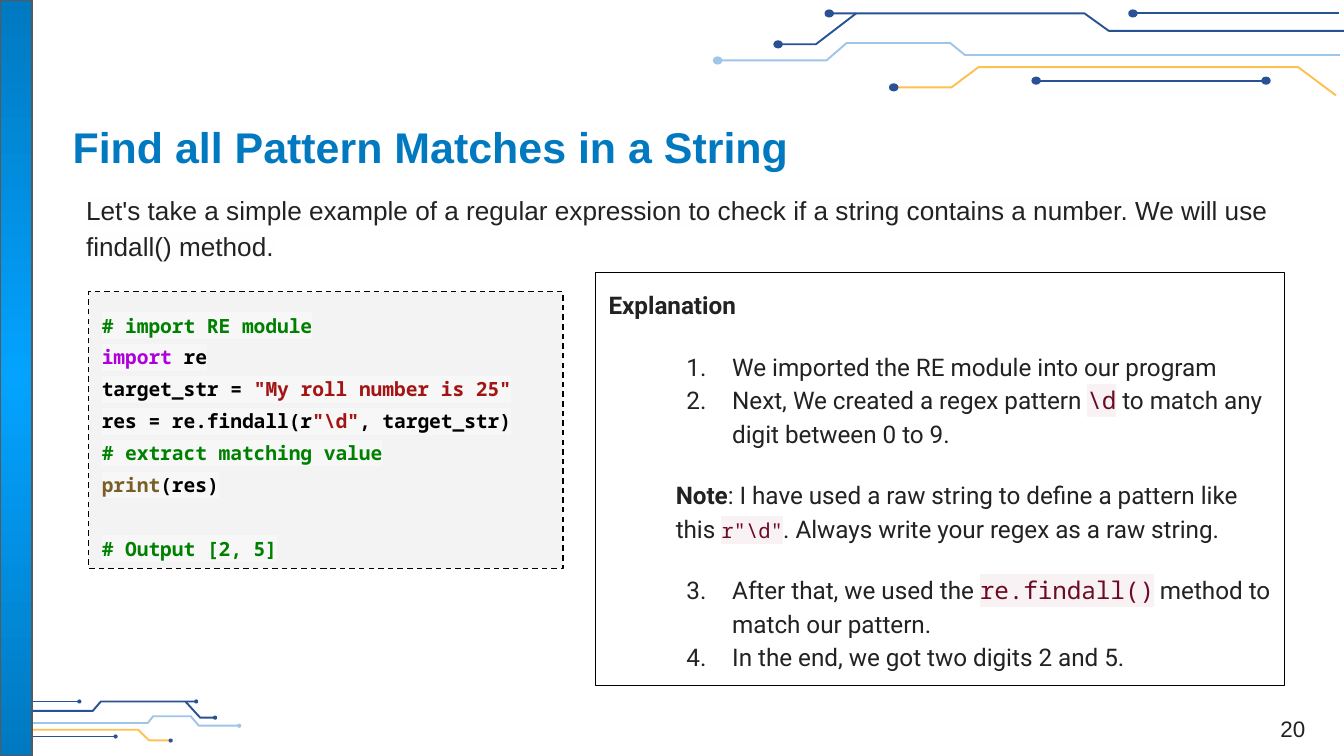
from dataclasses import dataclass

from lxml.etree import SubElement
from pptx import Presentation
from pptx.dml.color import RGBColor
from pptx.enum.dml import MSO_LINE
from pptx.enum.shapes import MSO_CONNECTOR, MSO_SHAPE
from pptx.enum.text import MSO_ANCHOR as ANCHOR, MSO_AUTO_SIZE, PP_ALIGN
from pptx.oxml.ns import qn
from pptx.util import Inches, Pt


@dataclass(frozen=True)
class Style:
    font: str
    size: float
    color: str
    bold: bool = False
    highlight: str = ""


def code_style(color):
    return Style("Noto Sans Mono", 10.5, color, True, "F7F7F7")


class Theme:
    navy, sky, amber = "285293", "9FC5E8", "FEC14F"
    bar_light, bar_dark, bar_edge = "03A3FF", "0079C0", "595959"
    border, code_fill = "000000", "F3F3F3"
    trace_width, edge_width = 1.03, 0.75
    styles = {
        "title": Style("Arial", 23, "0079C0", True),
        "body": Style("Arial", 14, "222222", False, "FEFEFE"),
        "number": Style("Arial", 12, "222222"),
        "text": Style("Roboto", 13, "222222"),
        "strong": Style("Roboto", 13, "222222", True),
        "term": Style("Noto Sans Mono", 13, "6C0B24", False, "F9F2F4"),
        "small term": Style("Noto Sans Mono", 11, "6C0B24", False, "F9F2F4"),
        "code": code_style("000000"),
        "comment": code_style("008000"),
        "keyword": code_style("AF00DB"),
        "string": code_style("A31515"),
        "builtin": code_style("795E26"),
    }


# Content: each paragraph is a list of (text, style) runs plus optional layout
TITLE = "Find all Pattern Matches in a String"
INTRO = ("Let's take a simple example of a regular expression to check if a string "
         "contains a number. We will use findall() method.")
PAGE = "20"
CODE = [
    ([("# import RE module", "comment")], {}),
    ([("import", "keyword"), (" re", "code")], {}),
    ([("target_str = ", "code"), ('"My roll number is 25"', "string")], {}),
    ([("res = re.findall(r", "code"), ('"\\d"', "string"), (", target_str)", "code")], {}),
    ([("# extract matching value", "comment")], {}),
    ([("print", "builtin"), ("(res)", "code")], {}),
    ([("# Output [2, 5]", "comment")], {"before": 17}),
]
EXPLANATION = [
    ([("Explanation", "strong")], {}),
    ([("We imported the RE module into our program", "text")], {"number": 1, "before": 15}),
    ([("Next, We created a regex pattern ", "text"), ("\\d", "term"),
      (" to match any digit between 0 to 9.", "text")], {"number": 2}),
    ([("Note", "strong"),
      (": I have used a raw string to define a pattern like this ", "text"),
      ('r"\\d"', "small term"),
      (". Always write your regex as a raw string.", "text")], {"indent": 0.5, "before": 15}),
    ([("After that, we used the ", "text"), ("re.findall()", "term"),
      (" method to match our pattern.", "text")], {"number": 3, "before": 15}),
    ([("In the end, we got two digits 2 and 5.", "text")], {"number": 4}),
]

# Circuit traces: (line colour, points, number of ends with a dot)
NAVY, SKY, AMBER = Theme.navy, Theme.sky, Theme.amber
TOP_CIRCUIT = [
    (NAVY, [(6.17, 0.1), (8.07, 0.1), (8.25, 0.23), (10, 0.23)], 1),
    (NAVY, [(5.79, 0.33), (6.07, 0.33), (6.37, 0.1)], 1),
    (NAVY, [(8.43, 0.1), (9.96, 0.1)], 1),
    (AMBER, [(6.65, 0.65), (7.08, 0.65), (7.28, 0.5), (9.66, 0.5), (9.94, 0.71)], 1),
    (NAVY, [(7.71, 0.6), (9.42, 0.6)], 2),
    (SKY, [(5.34, 0.45), (6.15, 0.45), (6.3, 0.32), (7.07, 0.32), (7.18, 0.41), (9.97, 0.41)], 1),
]
BOTTOM_CIRCUIT = [
    (NAVY, [(1.46, 5.22), (0.75, 5.22), (0.69, 5.29), (0.04, 5.29)], 1),
    (NAVY, [(1.6, 5.34), (1.49, 5.34), (1.38, 5.22)], 1),
    (NAVY, [(0.59, 5.22), (0, 5.22)], 1),
    (AMBER, [(1.27, 5.51), (1.11, 5.51), (1.03, 5.43), (0.12, 5.43), (0.01, 5.54)], 1),
    (NAVY, [(0.86, 5.48), (0.21, 5.48)], 2),
    (SKY, [(1.78, 5.4), (1.48, 5.4), (1.42, 5.33), (1.14, 5.33), (1.1, 5.38), (0.08, 5.38)], 1),
]

# Widescreen slide, 16:9
WIDTH = 10
HEIGHT = WIDTH * 9 / 16
deck = Presentation()
deck.slide_width, deck.slide_height = Inches(WIDTH), Inches(HEIGHT)
slide = deck.slides.add_slide(deck.slide_layouts[5])
shapes = slide.shapes


def rgb(color):
    return RGBColor.from_string(color)


def outline(shape, color, width=Theme.edge_width):
    shape.line.color.rgb = rgb(color)
    shape.line.width = Pt(width)


def add_preset(kind, box, fill, edge):
    shape = shapes.add_shape(kind, *map(Inches, box))
    shape.shadow.inherit = False
    if fill:
        shape.fill.solid()
        shape.fill.fore_color.rgb = rgb(fill)
    else:
        shape.fill.background()
    outline(shape, edge)
    return shape


def apply_font(font, style, base=None):
    """Set what differs from the base style."""
    if not base or style.font != base.font:
        font.name = style.font
    if not base or style.size != base.size:
        font.size = Pt(style.size)
    if not base or style.bold != base.bold:
        font.bold = style.bold
    if not base or style.color != base.color:
        font.color.rgb = rgb(style.color)


def set_highlight(run, color):
    properties = run._r.get_or_add_rPr()
    mark = SubElement(properties, qn("a:highlight"))
    SubElement(mark, qn("a:srgbClr"), val=color)
    fill = properties.find(qn("a:solidFill"))
    properties.insert(0 if fill is None else properties.index(fill) + 1, mark)


def fill_text(shape, paragraphs, spacing=1.0, insets=(0.07, 0.07), anchor=ANCHOR.TOP,
              align=PP_ALIGN.LEFT):
    frame = shape.text_frame
    frame.word_wrap, frame.auto_size, frame.vertical_anchor = True, MSO_AUTO_SIZE.NONE, anchor
    frame.margin_left = frame.margin_right = Inches(insets[0])
    frame.margin_top = frame.margin_bottom = Inches(insets[1])
    for index, (runs, layout) in enumerate(paragraphs):
        paragraph = frame.add_paragraph() if index else frame.paragraphs[0]
        properties = paragraph._p.get_or_add_pPr()
        numbered = "number" in layout
        properties.set("marL", str(Inches(0.92 if numbered else layout.get("indent", 0))))
        properties.set("indent", str(Inches(-0.34 if numbered else 0)))
        if numbered:
            SubElement(properties, qn("a:buAutoNum"), type="arabicPeriod",
                       startAt=str(layout["number"]))
        paragraph.alignment, paragraph.line_spacing = align, spacing
        paragraph.space_before = Pt(layout.get("before", 0))
        base = Theme.styles[runs[0][1]]
        apply_font(paragraph.font, base)
        for text, name in runs:
            run, style = paragraph.add_run(), Theme.styles[name]
            run.text = text
            apply_font(run.font, style, base)
            if style.highlight:
                set_highlight(run, style.highlight)


def add_trace(color, points, dots, dot_size):
    corners = [(Inches(x), Inches(y)) for x, y in points]
    if len(corners) == 2:
        trace = shapes.add_connector(MSO_CONNECTOR.STRAIGHT, *corners[0], *corners[1])
        SubElement(trace._element.spPr, qn("a:effectLst"))
    else:
        builder = shapes.build_freeform(*corners[0])
        builder.add_line_segments(corners[1:], close=False)
        trace = builder.convert_to_shape()
        trace.shadow.inherit = False
        trace.fill.background()
    outline(trace, color, Theme.trace_width)
    dot_color = NAVY if color == AMBER else color
    width, height = dot_size
    for x, y in (points[0], points[-1])[:dots]:
        add_preset(MSO_SHAPE.OVAL, (x - width / 2, y - height / 2, width, height),
                   dot_color, dot_color)


# Circuit decoration
for circuit, dot_size in ((BOTTOM_CIRCUIT, (0.02, 0.02)), (TOP_CIRCUIT, (0.06, 0.05))):
    for trace in circuit:
        add_trace(*trace, dot_size)

# Side bar with a glow from its centre
bar = add_preset(MSO_SHAPE.RECTANGLE, (0, 0, 0.24, HEIGHT), None, Theme.bar_edge)
bar.fill.gradient()
for stop, color in zip(bar.fill.gradient_stops, (Theme.bar_light, Theme.bar_dark)):
    stop.color.rgb = rgb(color)
gradient = bar._element.spPr.find(qn("a:gradFill"))
gradient.remove(gradient.find(qn("a:lin")))
glow = SubElement(gradient, qn("a:path"), path="circle")
SubElement(glow, qn("a:fillToRect"), l="50000", t="50000", r="50000", b="50000")

# Title, introduction and page number
title = shapes.title
title.left, title.top, title.width, title.height = map(Inches, (0.47, 0.8, 8.88, 0.58))
fill_text(title, [([(TITLE, "title")], {})], anchor=ANCHOR.MIDDLE)
intro = shapes.add_textbox(*map(Inches, (0.57, 1.34, 8.95, 0.76)))
fill_text(intro, [([(INTRO, "body")], {})], spacing=1.15)
page = shapes.add_textbox(*map(Inches, (9.3, 5.12, 0.64, 0.44)))
fill_text(page, [([(PAGE, "number")], {})], insets=(0.07, 0.04), anchor=ANCHOR.BOTTOM,
          align=PP_ALIGN.CENTER)

# Code and explanation panels
code = add_preset(MSO_SHAPE.RECTANGLE, (0.66, 2.17, 3.53, 2.06), Theme.code_fill, Theme.border)
code.line.dash_style = MSO_LINE.DASH
fill_text(code, CODE, spacing=1.36, insets=(0.1, 0.1))
explanation = add_preset(MSO_SHAPE.RECTANGLE, (4.43, 2.03, 5.13, 3.07), None, Theme.border)
fill_text(explanation, EXPLANATION, spacing=1.15, insets=(0.1, 0.1))

deck.save("out.pptx")
